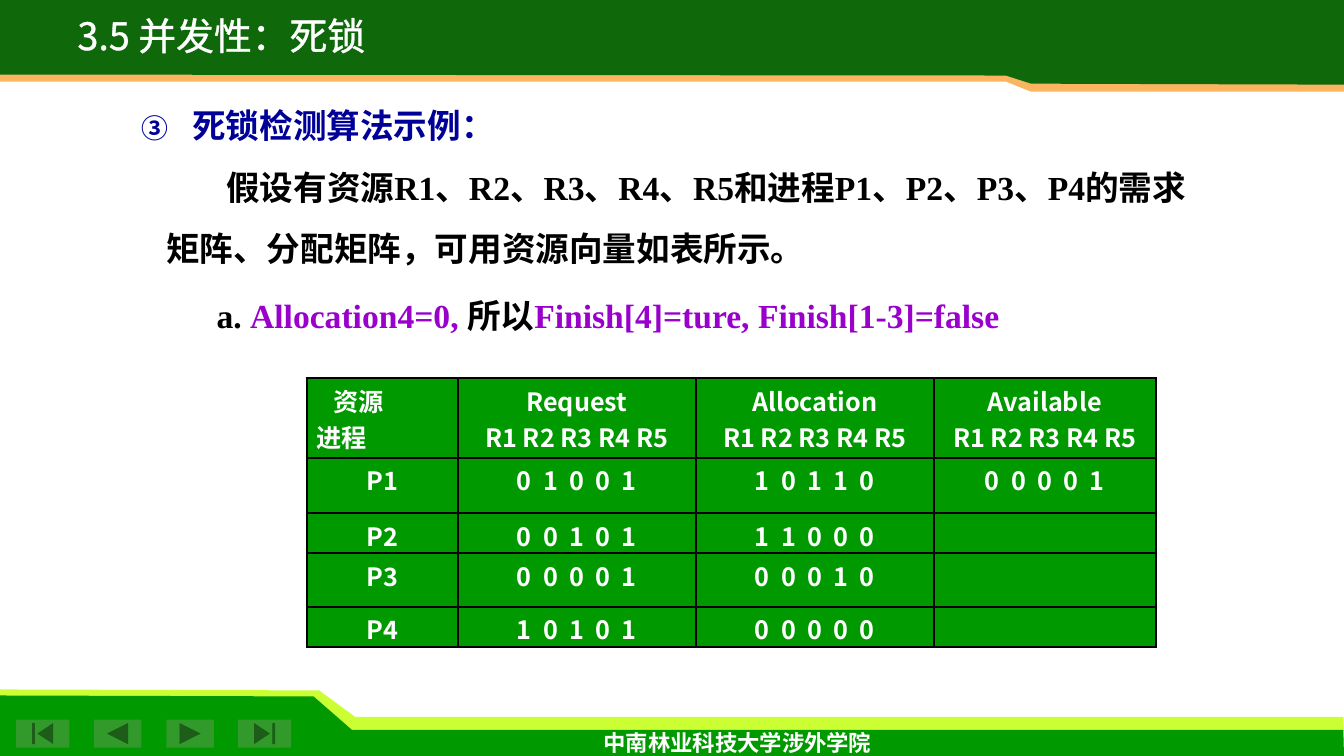
"""Build the deadlock detection example slide."""
from lxml import etree
from pptx import Presentation
from pptx.dml.color import RGBColor
from pptx.enum.shapes import MSO_SHAPE
from pptx.enum.text import MSO_ANCHOR, PP_ALIGN
from pptx.oxml.ns import qn
from pptx.util import Pt

LEFT, CENTER = PP_ALIGN.LEFT, PP_ALIGN.CENTER
TOP, MIDDLE = MSO_ANCHOR.TOP, MSO_ANCHOR.MIDDLE
BACK = MSO_SHAPE.ACTION_BUTTON_BACK_OR_PREVIOUS
FORWARD = MSO_SHAPE.ACTION_BUTTON_FORWARD_OR_NEXT
BEGINNING = MSO_SHAPE.ACTION_BUTTON_BEGINNING
END = MSO_SHAPE.ACTION_BUTTON_END
SANS, SERIF = "Noto Sans CJK SC", "Times New Roman"
COLORS = {
    "white": "FFFFFF", "black": "000000", "lime": "CCFF33", "green": "009900",
    "button": "329A2A", "orange": "FBB561", "dark": "0F690B",
    "purple": "9900CC", "navy": "000099",
}


def add_run(paragraph, text, size, font, color, bold=True):
    """Append one formatted run and return it."""
    run = paragraph.add_run()
    run.text = text
    run.font.size = Pt(size)
    run.font.bold = bold
    run.font.color.rgb = RGBColor.from_string(COLORS[color])
    run.font.name = font
    properties = run._r.get_or_add_rPr()
    etree.SubElement(properties, qn("a:ea"), typeface=SANS)
    return run


def add_text_box(left, top, width, height, wrap=False, anchor=TOP):
    """Add a text box and return its text frame."""
    box = slide.shapes.add_textbox(Pt(left), Pt(top), Pt(width), Pt(height))
    box.text_frame.word_wrap = wrap
    box.text_frame.vertical_anchor = anchor
    return box.text_frame


presentation = Presentation()
presentation.slide_width, presentation.slide_height = Pt(960), Pt(540)
slide = presentation.slides.add_slide(presentation.slide_layouts[6])

bands = [
    ("lime", [(0, 532.8), (960, 532.8), (959.5, 512), (253.5, 512), (228, 493.2), (0, 492.5)]),
    ("green", [(0, 540), (960, 540), (959.5, 521.3), (251.3, 521.3), (224, 497.5), (0, 496.8)]),
    ("orange", [(960, 0), (0, 0), (0, 58.3), (718.5, 58.3), (736.5, 65.5), (960, 65.5)]),
    ("dark", [(960, 0), (0, 0), (0, 53.3), (718.5, 54), (736.5, 59.8), (960, 60.5)]),
]
for color, points in bands:
    corners = [(Pt(x), Pt(y)) for x, y in points]
    builder = slide.shapes.build_freeform(*corners[0], scale=1.0)
    builder.add_line_segments(corners[1:], close=True)
    band = builder.convert_to_shape()
    band.shadow.inherit = False
    band.fill.solid()
    band.fill.fore_color.rgb = RGBColor.from_string(COLORS[color])
    band.line.fill.background()

buttons = [(BEGINNING, 11.5, 38), (BACK, 67, 34), (FORWARD, 118.8, 34), (END, 170, 38)]
for kind, left, width in buttons:
    button = slide.shapes.add_shape(kind, Pt(left), Pt(514), Pt(width), Pt(20))
    button.shadow.inherit = False
    button.fill.solid()
    button.fill.fore_color.rgb = RGBColor.from_string(COLORS["button"])
    button.line.fill.background()

footer = add_text_box(424, 517, 208, 26.6).paragraphs[0]
add_run(footer, "中南林业科技大学涉外学院", 16, "Karla", "white")

body = add_text_box(111.6, 103, 765.4, 138.2, wrap=True, anchor=MIDDLE)
premise, step = body.paragraphs[0], body.add_paragraph()
premise.line_spacing = step.line_spacing = 1.5
premise._p.get_or_add_pPr().set("indent", str(Pt(43)))
add_run(premise, "假设有资源R1、R2、R3、R4、R5和进程P1、P2、P3、P4的需求矩阵、分配矩阵，可用资源向量如表所示。",
        24, SERIF, "black")
step.space_before = Pt(5)
step._p.get_or_add_pPr().set("marL", str(Pt(36)))
for text, color in [("a. ", "black"), ("Allocation4=0, ", "purple"), ("所以", "black"),
                    ("Finish[4]=ture, Finish[1-3]=false", "purple")]:
    add_run(step, text, 24, SERIF, color)

resources = "R1 R2 R3 R4 R5"
rows = [
    (["资源", "进程"], ["Request", resources], ["Allocation", resources], ["Available", resources]),
    (["P1"], ["0 1 0 0 1"], ["1 0 1 1 0"], ["0 0 0 0 1"]),
    (["P2"], ["0 0 1 0 1"], ["1 1 0 0 0"], []),
    (["P3"], ["0 0 0 0 1"], ["0 0 0 1 0"], []),
    (["P4"], ["1 0 1 0 1"], ["0 0 0 0 0"], []),
]
column_widths = [108, 170, 170, 158.6]
row_heights = [56.9, 39.6, 28.8, 38.2, 28.8]
table = slide.shapes.add_table(len(rows), len(column_widths), Pt(219), Pt(270),
                               Pt(sum(column_widths)), Pt(sum(row_heights))).table
for column, width in zip(table.columns, column_widths):
    column.width = Pt(width)
for row, height in zip(table.rows, row_heights):
    row.height = Pt(height)

for row_index, row in enumerate(rows):
    for column_index, lines in enumerate(row):
        cell = table.cell(row_index, column_index)
        cell.margin_top, cell.margin_bottom = Pt(2.7), 0
        cell_properties = cell._tc.get_or_add_tcPr()
        for side in ("lnL", "lnR", "lnT", "lnB"):
            border = etree.SubElement(cell_properties, qn(f"a:{side}"), w=str(Pt(1.5)))
            border_fill = etree.SubElement(border, qn("a:solidFill"))
            etree.SubElement(border_fill, qn("a:srgbClr"), val=COLORS["black"])
        cell.fill.solid()
        cell.fill.fore_color.rgb = RGBColor.from_string(COLORS["green"])
        for line_index, line in enumerate(lines):
            frame = cell.text_frame
            paragraph = frame.add_paragraph() if line_index else frame.paragraphs[0]
            is_corner = row_index == 0 and column_index == 0
            paragraph.alignment = LEFT if is_corner else CENTER
            hanging = -15 if line == "资源" else -27
            paragraph_properties = paragraph._p.get_or_add_pPr()
            paragraph_properties.set("marL", str(Pt(27)))
            paragraph_properties.set("indent", str(Pt(hanging)))
            run = add_run(paragraph, line, 18, SANS, "white")
            if row_index and column_index:
                run._r.get_or_add_rPr().set("spc", "200")

heading = add_text_box(94.3, 77, 267, 30.2).paragraphs[0]
heading.line_spacing = 0.8
heading_properties = heading._p.get_or_add_pPr()
heading_properties.set("marL", str(Pt(36)))
heading_properties.set("indent", str(Pt(-36)))
etree.SubElement(heading_properties, qn("a:buSzPct"), val="80000")
etree.SubElement(heading_properties, qn("a:buFont"), typeface=SANS)
etree.SubElement(heading_properties, qn("a:buAutoNum"), type="circleNumDbPlain", startAt="3")
add_run(heading, "死锁检测算法示例：", 24, SERIF, "navy")

title = add_text_box(32.4, 11.5, 251.3, 33.8).paragraphs[0]
title.alignment = CENTER
title.line_spacing = 0.8
title_run = add_run(title, "3.5 并发性：死锁", 27, SANS, "white", bold=False)
outline = etree.Element(qn("a:ln"), w=str(Pt(1.5)))
outline_fill = etree.SubElement(outline, qn("a:solidFill"))
etree.SubElement(outline_fill, qn("a:srgbClr"), val=COLORS["white"])
title_run._r.get_or_add_rPr().insert(0, outline)

presentation.save("out.pptx")
